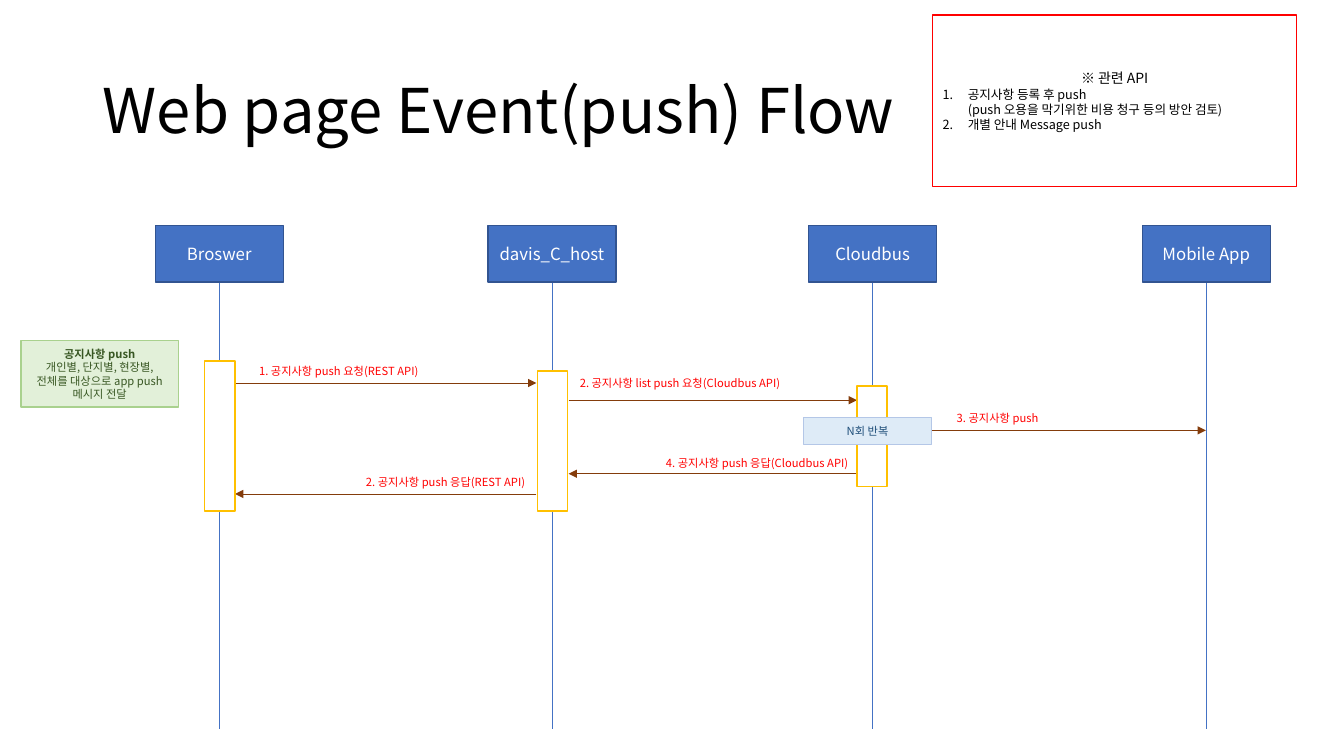
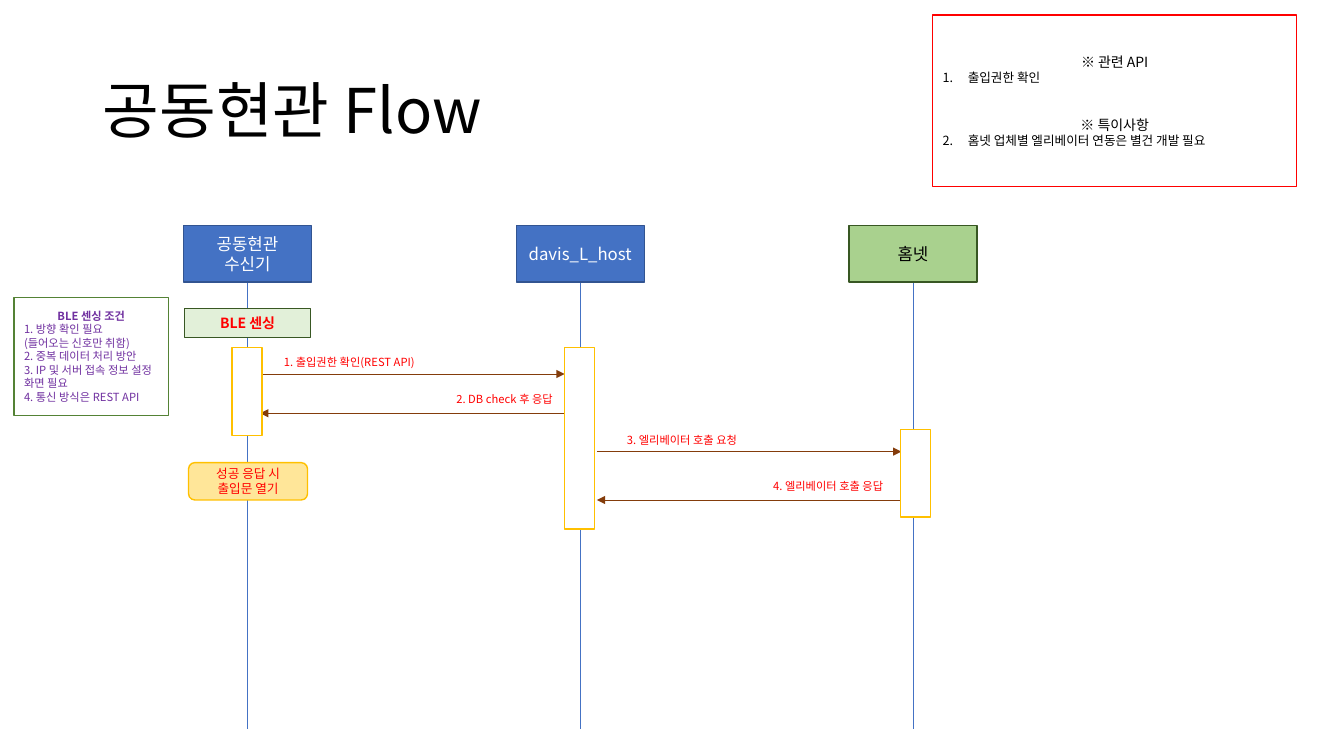
from lxml import etree
from pptx import Presentation
from pptx.dml.color import RGBColor
from pptx.enum import shapes, text
from pptx.oxml import ns
from pptx.util import Inches, Pt

COLORS = {
    "black": "000000", "white": "FFFFFF", "red": "FF0000", "purple": "7030A0",
    "blue": "4472C4", "navy": "325491", "ink": "1F4E79", "ice": "DEEBF7", "sky": "B4C7E7",
    "mint": "E2F0D9", "leaf": "A9D18E", "green": "548235", "forest": "385723",
    "gold": "FFC000", "sand": "FFE699", "brown": "843C0B",
}
FONT = "Noto Sans CJK KR"
LEFT, CENTER = text.PP_ALIGN.LEFT, text.PP_ALIGN.CENTER
RECT = shapes.MSO_SHAPE.RECTANGLE
ROUNDED = shapes.MSO_SHAPE.ROUNDED_RECTANGLE
HEAD_TOP, HEAD_W, HEAD_H = 2.24, 1.27, 0.56
LIFE_END = 7.23
BAR_W = 0.3


def rgb(name):
    return RGBColor.from_string(COLORS[name])


def child(parent, tag, **attrs):
    return etree.SubElement(parent, ns.qn(tag), attrs)


class Deck:
    def __init__(self):
        self.prs = Presentation()
        self.prs.slide_width = Inches(13.33)
        self.prs.slide_height = Inches(7.5)
        self.s = None

    def slide(self, title):
        self.s = self.prs.slides.add_slide(self.prs.slide_layouts[5])
        sp = self.s.shapes.title
        sp.left, sp.top = Inches(0.92), Inches(0.4)
        sp.width, sp.height = Inches(11.5), Inches(1.45)
        self.put_text(sp, [dict(line=title, align=LEFT)], 44, "black")
        sp.text_frame.paragraphs[0].line_spacing = 0.9

    def put_text(self, sp, lines, size, color):
        tf = sp.text_frame
        tf.word_wrap = True
        tf.vertical_anchor = text.MSO_ANCHOR.MIDDLE
        for i, item in enumerate(lines):
            if isinstance(item, str):
                item = dict(line=item)
            p = tf.paragraphs[0] if i == 0 else tf.add_paragraph()
            p.text = item["line"]
            p.alignment = item.get("align", CENTER)
            p.space_before = Pt(item.get("before", 0))
            if "number" in item:
                self.number(p, item["number"])
            f = p.font
            f.name, f.size = FONT, Pt(item.get("size", size))
            f.bold = item.get("bold", False)
            f.color.rgb = rgb(color)
            f._element.find(ns.qn("a:latin")).addnext(
                etree.Element(ns.qn("a:ea"), typeface=FONT))

    def number(self, p, start):
        p.alignment = LEFT
        pPr = p._p.get_or_add_pPr()
        pPr.set("marL", str(Inches(0.25)))
        pPr.set("indent", str(Inches(-0.25)))
        child(pPr, "a:buAutoNum", type="arabicPeriod", startAt=str(start))

    def box(self, x, y, w, h, fill, line, lines=(), size=8, color="black", kind=RECT):
        sp = self.s.shapes.add_shape(kind, Inches(x), Inches(y), Inches(w), Inches(h))
        sp.shadow.inherit = False
        if fill:
            sp.fill.solid()
            sp.fill.fore_color.rgb = rgb(fill)
        else:
            sp.fill.background()
        sp.line.color.rgb = rgb(line)
        sp.line.width = Pt(1)
        if lines:
            self.put_text(sp, lines, size, color)

    def line(self, x1, y1, x2, y2, color, arrow=False):
        cx = self.s.shapes.add_connector(
            shapes.MSO_CONNECTOR.STRAIGHT, Inches(x1), Inches(y1), Inches(x2), Inches(y2))
        cx.line.color.rgb = rgb(color)
        cx.line.width = Pt(0.5)
        if arrow:
            child(cx.line._get_or_add_ln(), "a:tailEnd", type="triangle")
        child(cx._element.spPr, "a:effectLst")

    def actor(self, x, *lines, fill="blue", line="navy", color="white"):
        middle, bottom = x + HEAD_W / 2, HEAD_TOP + HEAD_H
        self.line(middle, bottom, middle, LIFE_END, "blue")
        self.box(x, HEAD_TOP, HEAD_W, HEAD_H, fill, line, lines, 12, color)

    def message(self, start, end, y, label, x, top, w, h=0.42):
        self.line(start, y, end, y, "brown", arrow=True)
        sp = self.s.shapes.add_textbox(Inches(x), Inches(top), Inches(w), Inches(h))
        self.put_text(sp, [label], 8, "red")

    def bar(self, x, y, h):
        self.box(x, y, BAR_W, h, "white", "gold")

    def api_note(self, *lines):
        self.box(9.25, 0.15, 3.61, 1.7, None, "red", lines, 9)


deck = Deck()

deck.slide("Web page Event(push) Flow")
for x, name in ((1.54, "Broswer"), (4.84, "davis_C_host"), (8.02, "Cloudbus"), (11.33, "Mobile App")):
    deck.actor(x, name)
deck.box(0.21, 3.38, 1.56, 0.66, "mint", "leaf", [
    dict(line="공지사항 push", bold=True),
    "개인별, 단지별, 현장별, 전체를 대상으로 app push 메시지 전달",
], 8, "forest")
for message in (
    (2.33, 5.32, 3.8, "1. 공지사항 push 요청(REST API)", 2.4, 3.47, 1.92),
    (5.32, 2.33, 4.9, "2. 공지사항 push 응답(REST API)", 3.37, 4.57, 2.1),
    (5.64, 8.5, 3.97, "2. 공지사항 list push 요청(Cloudbus API)", 5.62, 3.59, 2.25),
    (8.5, 5.64, 4.7, "4. 공지사항 push 응답(Cloudbus API)", 6.42, 4.38, 2.18),
    (9.24, 11.96, 4.27, "3. 공지사항 push", 9.26, 3.94, 1.27),
):
    deck.message(*message)
for bar in ((2.03, 3.58, 1.49), (5.33, 3.68, 1.39), (8.5, 3.83, 1)):
    deck.bar(*bar)
deck.box(7.97, 4.14, 1.27, 0.27, "ice", "sky", ["N회 반복"], 8, "ink")
deck.api_note(
    dict(line="※ 관련 API", size=10),
    dict(line="공지사항 등록 후 push\v(push 오용을 막기위한 비용 청구 등의 방안 검토)", number=1),
    dict(line="개별 안내 Message push", number=1),
)

deck.slide("공동현관 Flow")
deck.actor(1.82, "공동현관", "수신기")
deck.actor(5.12, "davis_L_host")
deck.actor(8.42, "홈넷", fill="leaf", line="forest", color="black")
for message in (
    (2.58, 5.6, 3.71, "1. 출입권한 확인(REST API)", 2.67, 3.38, 1.59),
    (5.6, 2.58, 4.1, "2. DB check 후 응답", 4.37, 3.85, 1.27, 0.22),
    (5.92, 8.94, 4.48, "3. 엘리베이터 호출 요청", 6.01, 4.16, 1.51),
    (8.93, 5.92, 4.96, "4. 엘리베이터 호출 응답", 7.46, 4.71, 1.51, 0.22),
):
    deck.message(*message)
for bar in ((2.3, 3.45, 0.87), (5.6, 3.45, 1.8), (8.93, 4.26, 0.87)):
    deck.bar(*bar)
deck.box(1.83, 3.06, 1.25, 0.29, "mint", "forest", [dict(line="BLE 센싱", bold=True)], 10, "red")
conditions = (
    "1. 방향 확인 필요",
    "(들어오는 신호만 취함)",
    "2. 중복 데이터 처리 방안",
    "3. IP 및 서버 접속 정보 설정 화면 필요",
    "4. 통신 방식은 REST API",
)
deck.box(0.14, 2.95, 1.53, 1.17, "white", "green", [
    dict(line="BLE 센싱 조건", bold=True),
    *(dict(line=condition, align=LEFT) for condition in conditions),
], 8, "purple")
deck.box(1.87, 4.59, 1.18, 0.37, "sand", "gold", ["성공 응답 시", "출입문 열기"], 9, "red", ROUNDED)
deck.api_note(
    dict(line="※ 관련 API", size=10),
    dict(line="출입권한 확인", number=1),
    dict(line="※ 특이사항", size=10, before=22),
    dict(line="홈넷 업체별 엘리베이터 연동은 별건 개발 필요", number=2),
)

deck.prs.save("out.pptx")
